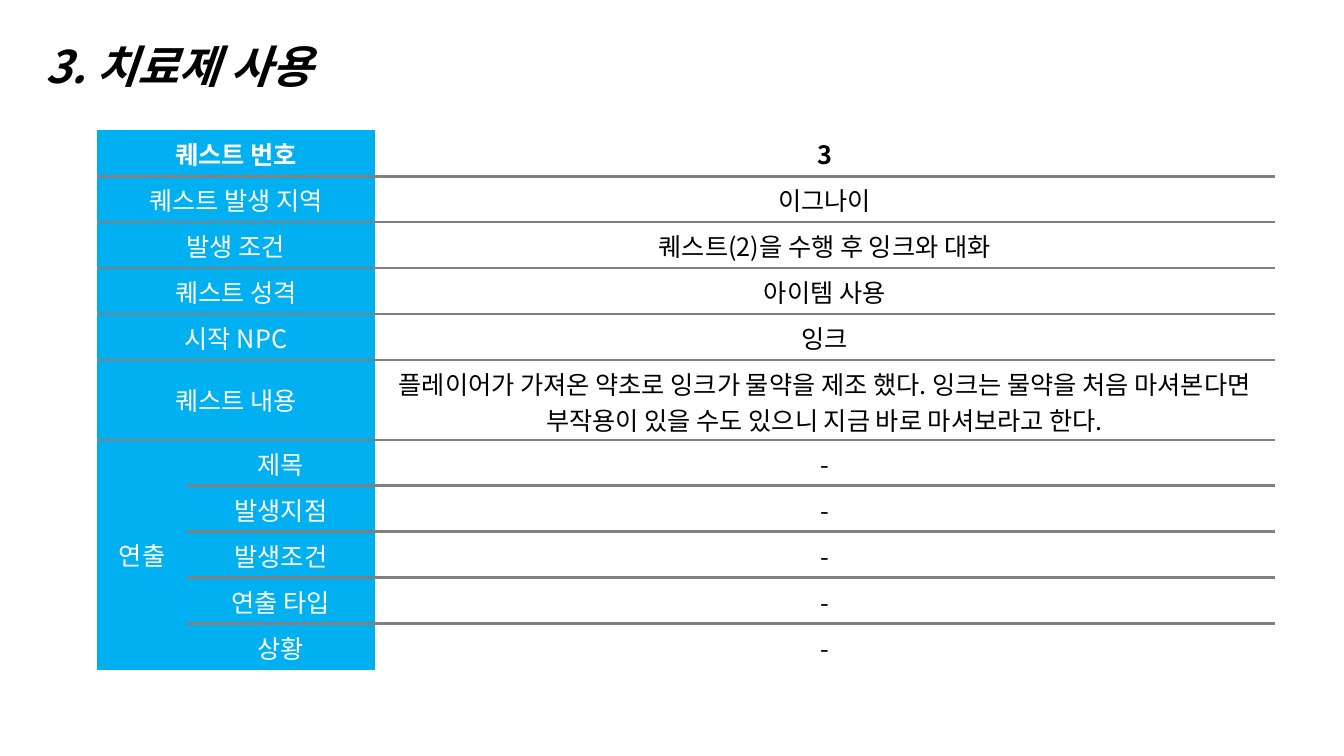
from lxml import etree
from pptx import Presentation
from pptx.dml.color import RGBColor
from pptx.enum.text import MSO_ANCHOR, MSO_AUTO_SIZE, PP_ALIGN
from pptx.oxml.ns import qn
from pptx.util import Pt

MIDDLE = MSO_ANCHOR.MIDDLE
CENTER, LEFT = PP_ALIGN.CENTER, PP_ALIGN.LEFT
GROW = MSO_AUTO_SIZE.SHAPE_TO_FIT_TEXT

TITLE = "3. 치료제 사용"
QUEST = [
    ("퀘스트 번호", "3"),
    ("퀘스트 발생 지역", "이그나이"),
    ("발생 조건", "퀘스트(2)을 수행 후 잉크와 대화"),
    ("퀘스트 성격", "아이템 사용"),
    ("시작 NPC", "잉크"),
    ("퀘스트 내용", "플레이어가 가져온 약초로 잉크가 물약을 제조 했다. "
     "잉크는 물약을 처음 마셔본다면 부작용이 있을 수도 있으니 지금 바로 마셔보라고 한다."),
]
GROUP = "연출"
SCENE = [
    ("제목", "-"),
    ("발생지점", "-"),
    ("발생조건", "-"),
    ("연출 타입", "-"),
    ("상황", "-"),
]
THEME = {
    "font": "Noto Sans CJK KR", "title": 32, "body": 18, "rule": 2.25,
    "black": "000000", "white": "FFFFFF", "blue": "01B0F0", "gray": "808080",
}
COLS = [64.3, 134, 642.7]
LOW, TALL = 32.85, 57.1


def write(frame, text, size="body", color="black", bold=False, italic=False, align=CENTER):
    para = frame.paragraphs[0]
    para.alignment = align
    run = para.add_run()
    run.text = text
    font = run.font
    font.name = THEME["font"]
    font.size = Pt(THEME[size])
    font.bold, font.italic = bold, italic
    font.color.rgb = RGBColor.from_string(THEME[color])
    east = etree.SubElement(font._element, qn("a:ea"))
    east.set("typeface", THEME["font"])


def edge(cell, sides):
    props = cell._tc.get_or_add_tcPr()
    for side in "LRTB":
        line = etree.SubElement(props, qn("a:ln" + side))
        if side in sides:
            line.set("w", str(Pt(THEME["rule"])))
            fill = etree.SubElement(line, qn("a:solidFill"))
            etree.SubElement(fill, qn("a:srgbClr")).set("val", THEME["gray"])
        else:
            line.set("w", "0")
            etree.SubElement(line, qn("a:noFill"))


def main():
    deck = Presentation()
    deck.slide_width, deck.slide_height = Pt(960), Pt(540)
    slide = deck.slides.add_slide(deck.slide_layouts[6])

    head = slide.shapes.add_textbox(Pt(25.2), Pt(23.8), Pt(226), Pt(46)).text_frame
    head.word_wrap = False
    head.auto_size = GROW
    write(head, TITLE, size="title", bold=True, italic=True, align=LEFT)

    rows = QUEST + SCENE
    first, last = len(QUEST), len(rows) - 1
    highs = [TALL if r == first - 1 else LOW for r in range(len(rows))]
    grid = slide.shapes.add_table(
        len(rows), len(COLS), Pt(69.4), Pt(93), Pt(sum(COLS)), Pt(sum(highs))).table
    grid.first_row = grid.horz_banding = False
    for col, wide in zip(grid.columns, COLS):
        col.width = Pt(wide)

    for r, (label, value) in enumerate(rows):
        grid.rows[r].height = Pt(highs[r])
        for c in range(len(COLS)):
            cell = grid.cell(r, c)
            inner = c == 0 and r >= first
            above = r > 0 and not (inner and r > first)
            below = r < last and not inner
            edge(cell, "T" * above + "B" * below)
            cell.vertical_anchor = MIDDLE
            if c < 2:
                cell.fill.solid()
                cell.fill.fore_color.rgb = RGBColor.from_string(THEME["blue"])
            else:
                cell.fill.background()
        if r < first:
            grid.cell(r, 0).merge(grid.cell(r, 1))
        spot = grid.cell(r, 0 if r < first else 1)
        write(spot.text_frame, label, color="white", bold=r == 0)
        write(grid.cell(r, 2).text_frame, value, bold=r == 0)

    grid.cell(first, 0).merge(grid.cell(last, 0))
    write(grid.cell(first, 0).text_frame, GROUP, color="white")
    deck.save("out.pptx")


if __name__ == "__main__":
    main()
